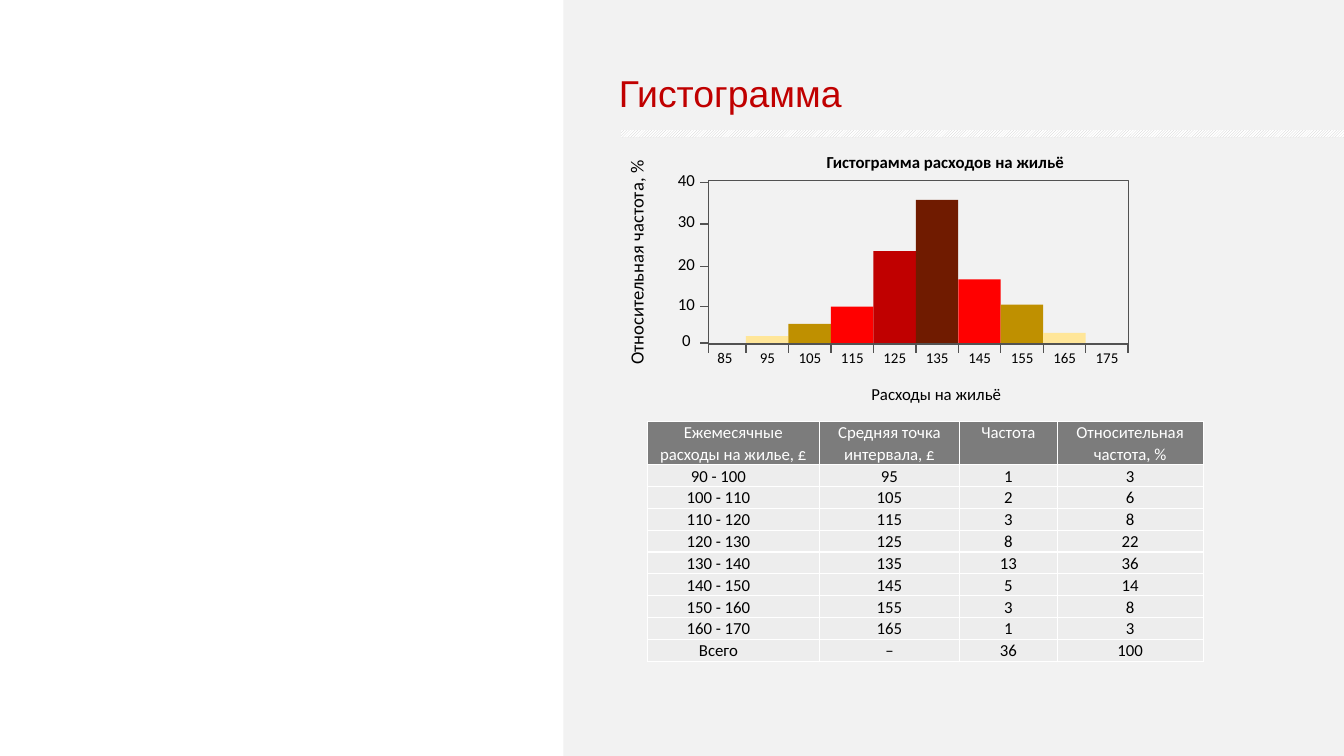
from lxml import etree
from pptx import Presentation
from pptx.dml.color import RGBColor
from pptx.enum import dml, shapes, text
from pptx.oxml import ns
from pptx.util import Cm, Pt

BIN_WIDTH = 1.07
FIRST_EDGE = 18.8
BASELINE = 8.67
FRAME_LEFT, FRAME_TOP, FRAME_WIDTH = 17.86, 4.55, 10.58
AXIS_COLOR = "525252"
BARS = [(0.2, "FFE699"), (0.51, "BF9000"), (0.94, "FF0000"), (2.34, "C00000"),
        (3.63, "701B00"), (1.63, "FF0000"), (0.99, "BF9000"), (0.28, "FFE699")]
Y_TICKS = {40: 4.6, 30: 5.64, 20: 6.71, 10: 7.72, 0: 8.64}
COLUMN_WIDTHS = [4.34, 3.53, 2.46, 3.68]
EXPENSES = [
    ("Ежемесячные расходы на жилье, £", "Средняя точка интервала, £",
     "Частота", "Относительная частота, %"),
    ("90 - 100", "95", "1", "3"),
    ("100 - 110", "105", "2", "6"),
    ("110 - 120", "115", "3", "8"),
    ("120 - 130", "125", "8", "22"),
    ("130 - 140", "135", "13", "36"),
    ("140 - 150", "145", "5", "14"),
    ("150 - 160", "155", "3", "8"),
    ("160 - 170", "165", "1", "3"),
    ("Всего", "–", "36", "100"),
]


def rgb(value):
    return RGBColor.from_string(value)


def add_run(paragraph, words, size, color="000000", font="Calibri", bold=False):
    run = paragraph.add_run()
    run.text = words
    run.font.size = Pt(size)
    run.font.name = font
    run.font.bold = bold
    run.font.color.rgb = rgb(color)


def add_label(slide, words, left, top, width, height, size=12, bold=False, rotation=0):
    label = slide.shapes.add_textbox(Cm(left), Cm(top), Cm(width), Cm(height))
    label.rotation = rotation
    frame = label.text_frame
    frame.word_wrap = True
    frame.auto_size = text.MSO_AUTO_SIZE.SHAPE_TO_FIT_TEXT
    frame.paragraphs[0].alignment = text.PP_ALIGN.CENTER
    add_run(frame.paragraphs[0], words, size, bold=bold)


def add_title(slide, words):
    title = slide.shapes.add_textbox(Cm(15.27), Cm(1.45), Cm(17.35), Cm(2.49))
    frame = title.text_frame
    frame.word_wrap = True
    frame.margin_left = frame.margin_right = Cm(0.33)
    frame.margin_top = frame.margin_bottom = Cm(0.33)
    add_run(frame.paragraphs[0], words, 26.7, "C00000", "Arial")


def add_block(slide, left, top, width, height, fill=None, line=None,
              kind=shapes.MSO_SHAPE.RECTANGLE):
    block = slide.shapes.add_shape(kind, Cm(left), Cm(top), Cm(width), Cm(height))
    block.shadow.inherit = False
    if fill:
        block.fill.solid()
        block.fill.fore_color.rgb = rgb(fill)
    else:
        block.fill.background()
    if line:
        block.line.color.rgb = rgb(line)
        block.line.width = Pt(1)
    else:
        block.line.fill.background()
    return block


def add_hatched_rule(slide):
    rule = add_block(slide, 15.65, 3.28, 19.3, 0.18,
                     kind=shapes.MSO_SHAPE.ROUNDED_RECTANGLE)
    rule.adjustments[0] = 0.05
    rule.fill.patterned()
    rule.fill.pattern = dml.MSO_PATTERN.DARK_UPWARD_DIAGONAL
    rule.fill.fore_color.rgb = rgb("C9C9C9")
    rule.fill.back_color.rgb = rgb("FFFFFF")


def add_tick(slide, x1, y1, x2, y2):
    tick = slide.shapes.add_connector(
        shapes.MSO_CONNECTOR.STRAIGHT, Cm(x1), Cm(y1), Cm(x2), Cm(y2))
    tick.line.color.rgb = rgb(AXIS_COLOR)
    tick.line.width = Pt(1)
    etree.SubElement(tick._element.spPr, ns.qn("a:effectLst"))


def add_histogram(slide):
    add_label(slide, "Гистограмма расходов на жильё", 15.95, 3.71, 15.75, 0.76, bold=True)
    add_label(slide, "Расходы на жильё", 15.72, 9.55, 15.75, 0.76)
    add_label(slide, "Относительная частота, %", 12.29, 6.2, 7.52, 0.84, 13.3, rotation=270)
    for i, (height, color) in enumerate(BARS):
        add_block(slide, FIRST_EDGE + i * BIN_WIDTH, BASELINE - height,
                  BIN_WIDTH, height, color)
    add_block(slide, FRAME_LEFT, FRAME_TOP, FRAME_WIDTH, BASELINE - FRAME_TOP,
              line=AXIS_COLOR)
    edges = [FRAME_LEFT] + [FIRST_EDGE + i * BIN_WIDTH for i in range(10)]
    for edge in edges:
        add_tick(slide, edge, BASELINE, edge, BASELINE + 0.22)
    for percent, y in Y_TICKS.items():
        add_tick(slide, FRAME_LEFT, y, FRAME_LEFT - 0.22, y)
        add_label(slide, str(percent), 16.46, y - 0.45, 1.68, 0.76)
    for i, midpoint in enumerate(range(85, 176, 10)):
        add_label(slide, str(midpoint), 17.43 + i * BIN_WIDTH, BASELINE, 1.68, 0.71, 10.7)


def add_borders(cell):
    properties = cell._tc.get_or_add_tcPr()
    for position, side in enumerate(("a:lnL", "a:lnR", "a:lnT", "a:lnB")):
        border = etree.Element(ns.qn(side), w=str(Pt(1)))
        fill = etree.SubElement(border, ns.qn("a:solidFill"))
        etree.SubElement(fill, ns.qn("a:srgbClr"), val="FFFFFF")
        properties.insert(position, border)


def fill_cell(cell, words, header, column):
    cell.margin_left = Cm(0.25)
    cell.margin_right = Cm(1 if column == 0 and not header else 0.25)
    cell.margin_top = cell.margin_bottom = Cm(0)
    if not header and column in (1, 2):
        cell.vertical_anchor = text.MSO_ANCHOR.BOTTOM
    cell.fill.solid()
    cell.fill.fore_color.rgb = rgb("7C7C7C" if header else "EDEDED")
    add_borders(cell)
    paragraph = cell.text_frame.paragraphs[0]
    paragraph.alignment = text.PP_ALIGN.CENTER
    paragraph.line_spacing = 1.07
    paragraph.space_after = Pt(8)
    add_run(paragraph, words, 12, "FFFFFF" if header else "000000")


def add_expense_table(slide):
    heights = [1.09] + [0.55] * (len(EXPENSES) - 1)
    table = slide.shapes.add_table(
        len(EXPENSES), len(COLUMN_WIDTHS), Cm(16.31), Cm(10.62),
        Cm(sum(COLUMN_WIDTHS)), Cm(sum(heights))).table
    table.horz_banding = False
    for column, width in zip(table.columns, COLUMN_WIDTHS):
        column.width = Cm(width)
    for r, entries in enumerate(EXPENSES):
        table.rows[r].height = Cm(heights[r])
        for c, words in enumerate(entries):
            fill_cell(table.cell(r, c), words, r == 0, c)


def main():
    deck = Presentation()
    deck.slide_width, deck.slide_height = Cm(33.87), Cm(19.05)
    slide = deck.slides.add_slide(deck.slide_layouts[6])
    add_block(slide, 14.2, 0, 19.67, 19.05, "F2F2F2")
    add_title(slide, "Гистограмма")
    add_hatched_rule(slide)
    add_expense_table(slide)
    add_histogram(slide)
    deck.save("out.pptx")


if __name__ == "__main__":
    main()
